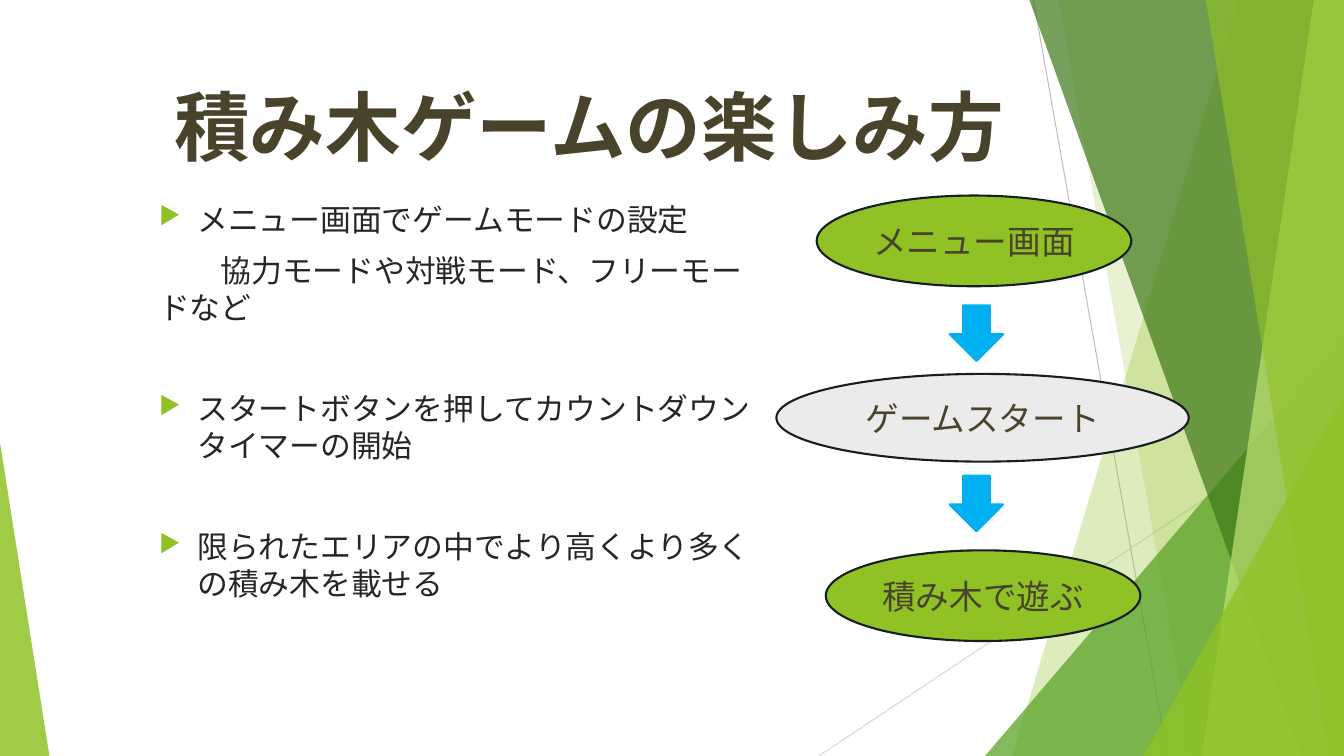
from dataclasses import dataclass

from lxml.etree import SubElement
from pptx import Presentation
from pptx.dml.color import RGBColor
from pptx.enum.lang import MSO_LANGUAGE_ID
from pptx.enum.shapes import MSO_CONNECTOR, MSO_SHAPE
from pptx.enum.text import MSO_ANCHOR, PP_ALIGN
from pptx.oxml.ns import qn
from pptx.shapes.autoshape import Shape
from pptx.slide import Slide
from pptx.text.text import TextFrame, _Paragraph
from pptx.util import Emu, Pt

EMU_PER_PX = 9144
SLIDE_WIDTH, SLIDE_HEIGHT = 1333, 750
FONT = "Roboto"
COLORS = {
    "lime": "90C226",
    "green": "54A021",
    "forest": "3F7819",
    "pale": "C0E474",
    "grey": "EBEBEB",
    "ink": "161E22",
    "olive": "48432A",
    "body": "262626",
    "sky": "00B0F0",
    "line_dark": "BFBFBF",
    "line_light": "D9D9D9",
}


@dataclass(frozen=True)
class Box:
    left: int
    top: int
    width: int
    height: int


@dataclass(frozen=True)
class Ray:
    start: tuple[int, int]
    end: tuple[int, int]
    color: str


@dataclass(frozen=True)
class Band:
    top_left: int
    top_right: int
    bottom_right: int
    bottom_left: int
    color: str
    opacity: int


@dataclass(frozen=True)
class Wedge:
    box: Box
    apex: int
    color: str
    opacity: int


@dataclass(frozen=True)
class Step:
    text: str
    box: Box
    color: str


@dataclass(frozen=True)
class Item:
    text: str
    space_before: int
    margin: int
    indent: int
    bullet: bool


RAYS = [
    Ray((1025, 0), (1158, 750), "line_dark"),
    Ray((1333, 403), (812, 750), "line_light"),
]
FACETS = [
    Band(1228, 1333, 1333, 1004, "lime", 30),
    Band(1050, 1333, 1333, 1183, "lime", 20),
    Wedge(Box(977, 333, 356, 417), 1, "green", 72),
    Band(1021, 1333, 1333, 1291, "forest", 70),
    Band(1303, 1333, 1333, 1192, "pale", 70),
    Band(1196, 1333, 1333, 1318, "lime", 65),
    Wedge(Box(1134, 393, 199, 357), 1, "lime", 80),
    Wedge(Box(0, 439, 49, 311), 0, "lime", 85),
]
ITEMS = [
    Item("メニュー画面でゲームモードの設定", 0, 38, -38, True),
    Item("協力モードや対戦モード、フリーモードなど", 10, 0, 61, False),
    Item("スタートボタンを押してカウントダウンタイマーの開始", 46, 38, -38, True),
    Item("限られたエリアの中でより高くより多くの積み木を載せる", 46, 38, -38, True),
]
STEPS = [
    Step("メニュー画面", Box(810, 194, 312, 90), "lime"),
    Step("ゲームスタート", Box(770, 371, 409, 87), "grey"),
    Step("積み木で遊ぶ", Box(819, 546, 312, 90), "lime"),
]
ARROWS = [Box(942, top, 53, 55) for top in (303, 472)]


def px(length: int) -> Emu:
    return Emu(length * EMU_PER_PX)


def place(box: Box) -> tuple[Emu, Emu, Emu, Emu]:
    return px(box.left), px(box.top), px(box.width), px(box.height)


def rgb(name: str) -> RGBColor:
    return RGBColor.from_string(COLORS[name])


def paint(shape: Shape, color: str, opacity: int = 100, outline: str | None = None) -> None:
    shape.shadow.inherit = False
    shape.fill.solid()
    shape.fill.fore_color.rgb = rgb(color)
    if opacity < 100:
        tint = shape.fill._xPr.find(qn("a:solidFill"))[0]
        SubElement(tint, qn("a:alpha"), val=str(opacity * 1000))
    if outline:
        shape.line.color.rgb = rgb(outline)
        shape.line.width = Pt(1.5)
    else:
        shape.line.fill.background()


def write(paragraph: _Paragraph, text: str, *, size: int, color: str,
          bold: bool = False, align: PP_ALIGN = PP_ALIGN.LEFT) -> None:
    paragraph.alignment = align
    run = paragraph.add_run()
    run.text = text
    run.font.size = Pt(size)
    run.font.bold = bold
    run.font.name = FONT
    run.font.language_id = MSO_LANGUAGE_ID.JAPANESE
    run.font.color.rgb = rgb(color)
    SubElement(run.font._element, qn("a:ea"), typeface=FONT)


def add_text_box(slide: Slide, box: Box, anchor: MSO_ANCHOR) -> TextFrame:
    frame = slide.shapes.add_textbox(*place(box)).text_frame
    frame.word_wrap = True
    frame.vertical_anchor = anchor
    return frame


def add_shape(slide: Slide, kind: MSO_SHAPE, box: Box) -> Shape:
    return slide.shapes.add_shape(kind, *place(box))


def draw_ray(slide: Slide, ray: Ray) -> None:
    connector = slide.shapes.add_connector(
        MSO_CONNECTOR.STRAIGHT, *map(px, ray.start + ray.end))
    connector.line.color.rgb = rgb(ray.color)
    connector.line.width = Pt(0.75)
    SubElement(connector._element.spPr, qn("a:effectLst"))


def draw_facet(slide: Slide, facet: Band | Wedge) -> None:
    if isinstance(facet, Band):
        builder = slide.shapes.build_freeform(facet.top_left, 0, scale=EMU_PER_PX)
        builder.add_line_segments([
            (facet.top_right, 0),
            (facet.bottom_right, SLIDE_HEIGHT),
            (facet.bottom_left, SLIDE_HEIGHT),
        ])
        shape = builder.convert_to_shape()
    else:
        shape = add_shape(slide, MSO_SHAPE.ISOSCELES_TRIANGLE, facet.box)
        shape.adjustments[0] = facet.apex
    paint(shape, facet.color, facet.opacity)


def draw_item(paragraph: _Paragraph, item: Item) -> None:
    paragraph.space_before = Pt(item.space_before)
    paragraph.line_spacing = Pt(26.4)
    properties = paragraph._p.get_or_add_pPr()
    properties.set("marL", str(px(item.margin)))
    properties.set("indent", str(px(item.indent)))
    if item.bullet:
        color = SubElement(properties, qn("a:buClr"))
        SubElement(color, qn("a:srgbClr"), val=COLORS["lime"])
        SubElement(properties, qn("a:buSzPct"), val="80000")
        SubElement(properties, qn("a:buChar"), char="▶")
    write(paragraph, item.text, size=22, color="body")


def draw_step(slide: Slide, step: Step) -> None:
    shape = add_shape(slide, MSO_SHAPE.OVAL, step.box)
    paint(shape, step.color, outline="ink")
    shape.text_frame.vertical_anchor = MSO_ANCHOR.MIDDLE
    write(shape.text_frame.paragraphs[0], step.text, size=24, color="olive",
          align=PP_ALIGN.CENTER)


def main() -> None:
    presentation = Presentation()
    presentation.slide_width, presentation.slide_height = px(SLIDE_WIDTH), px(SLIDE_HEIGHT)
    slide = presentation.slides.add_slide(presentation.slide_layouts[6])
    for ray in RAYS:
        draw_ray(slide, ray)
    for facet in FACETS:
        draw_facet(slide, facet)
    title = add_text_box(slide, Box(163, 74, 889, 101), MSO_ANCHOR.MIDDLE)
    write(title.paragraphs[0], "積み木ゲームの楽しみ方", size=54, color="olive", bold=True)
    body = add_text_box(slide, Box(148, 194, 618, 401), MSO_ANCHOR.TOP)
    for index, item in enumerate(ITEMS):
        draw_item(body.add_paragraph() if index else body.paragraphs[0], item)
    for step in STEPS:
        draw_step(slide, step)
    for arrow in ARROWS:
        paint(add_shape(slide, MSO_SHAPE.DOWN_ARROW, arrow), "sky", outline="sky")
    presentation.save("out.pptx")


if __name__ == "__main__":
    main()
